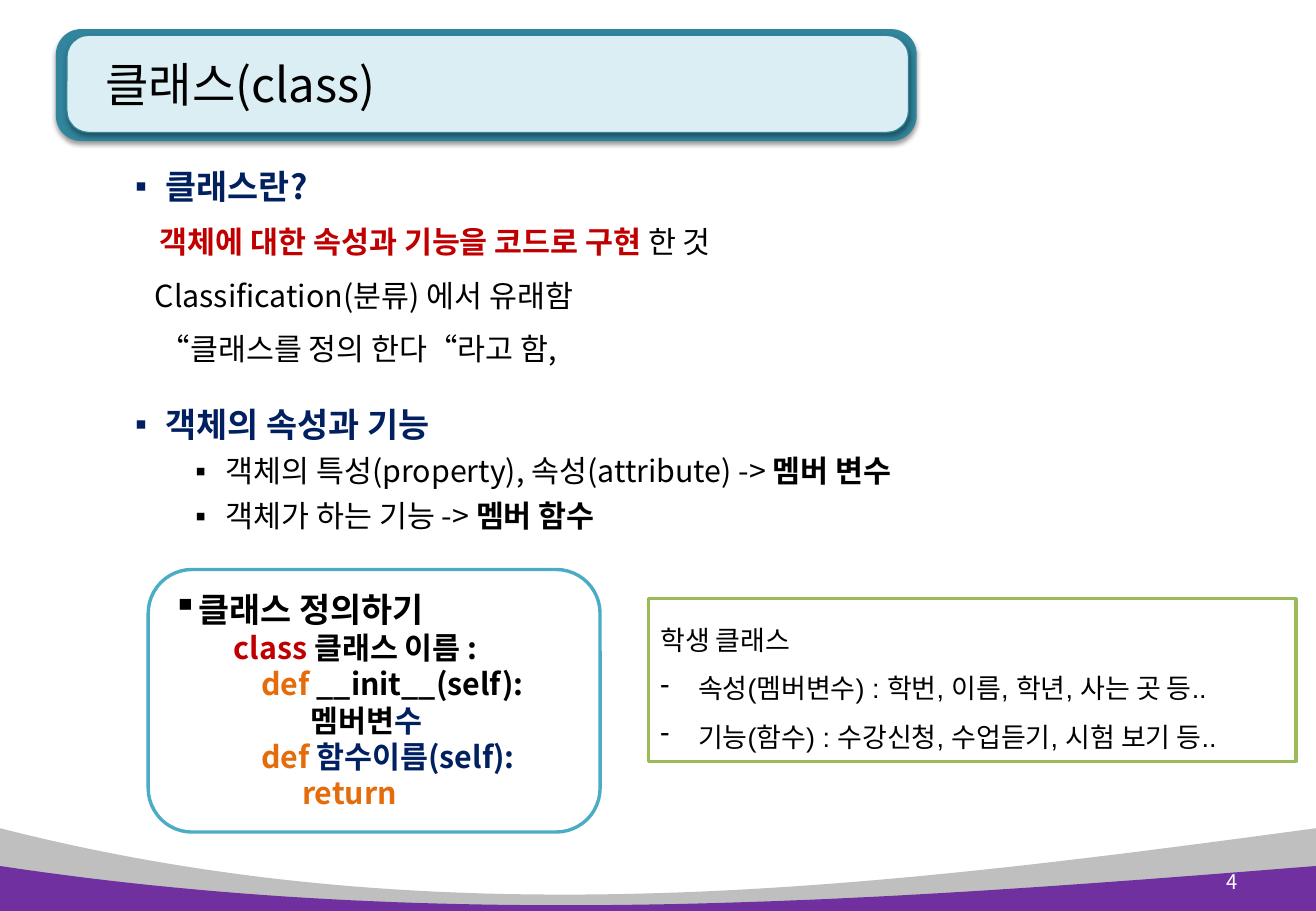
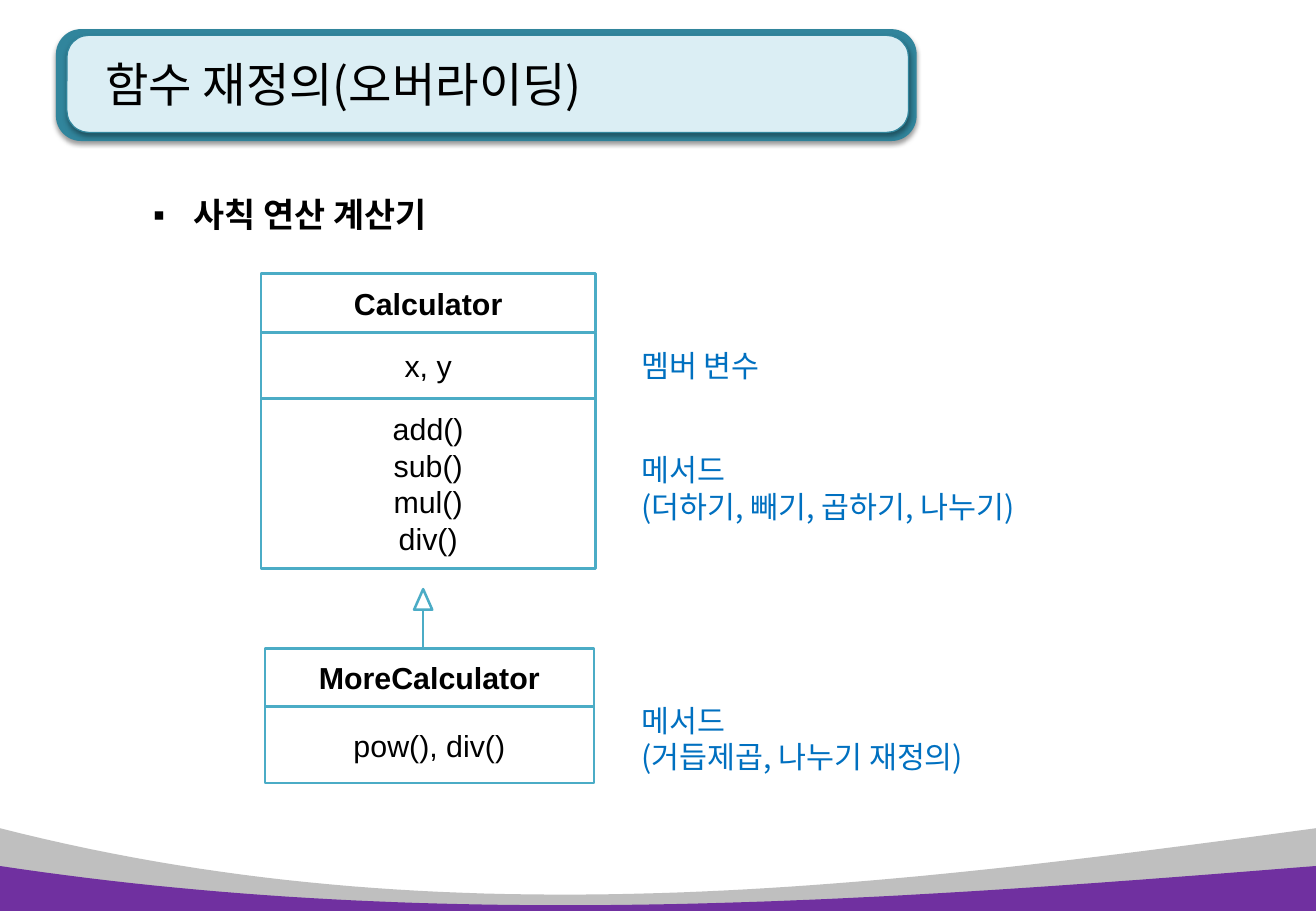
from dataclasses import dataclass

from lxml.etree import SubElement
from pptx import Presentation
from pptx.dml.color import RGBColor
from pptx.enum.shapes import MSO_CONNECTOR, MSO_SHAPE
from pptx.enum.text import MSO_ANCHOR, MSO_AUTO_SIZE, PP_ALIGN
from pptx.oxml.ns import qn
from pptx.util import Cm, Pt

BLACK = RGBColor(0x00, 0x00, 0x00)
WHITE = RGBColor(0xFF, 0xFF, 0xFF)
GRAY = RGBColor(0xBF, 0xBF, 0xBF)
PURPLE = RGBColor(0x70, 0x30, 0xA0)
TEAL = RGBColor(0x31, 0x85, 0x9C)
PALE = RGBColor(0xDB, 0xEE, 0xF4)
AQUA = RGBColor(0x4B, 0xAC, 0xC6)
GREEN = RGBColor(0x9B, 0xBB, 0x59)
NAVY = RGBColor(0x00, 0x20, 0x60)
RED = RGBColor(0xC0, 0x00, 0x00)
ORANGE = RGBColor(0xE4, 0x6C, 0x0A)
BLUE = RGBColor(0x00, 0x70, 0xC0)
KOREAN = "Noto Sans CJK KR"
LATIN = "Arial"
WIDTH, HEIGHT = 27.52, 19.05


@dataclass
class Line:
    """A paragraph: spans of (text, colour, bold) and its layout in centimetres and points."""
    spans: list
    size: float = 18
    font: str = KOREAN
    left: float = 0
    hang: float = 0
    bullet: str = ""
    spacing: float = 1
    before: float = 0
    level: int = 0
    align: PP_ALIGN = PP_ALIGN.LEFT


def write_line(para, line):
    """Fill one paragraph."""
    para.level = line.level
    para.alignment = line.align
    para.line_spacing = line.spacing
    para.space_before = Pt(line.before)
    properties = para._p.get_or_add_pPr()
    properties.set("marL", str(Cm(line.left)))
    properties.set("indent", str(-Cm(line.hang)))
    if line.bullet:
        SubElement(properties, qn("a:buChar")).set("char", line.bullet)
    else:
        SubElement(properties, qn("a:buNone"))
    for text, color, bold in line.spans:
        span = para.add_run()
        span.text = text
        span.font.size = Pt(line.size)
        span.font.bold = bold
        span.font.color.rgb = color
        span.font.name = line.font
        SubElement(span._r.get_or_add_rPr(), qn("a:ea")).set("typeface", KOREAN)


def write_lines(shape, lines, anchor=MSO_ANCHOR.TOP):
    """Fill a shape with paragraphs."""
    frame = shape.text_frame
    frame.word_wrap = True
    frame.auto_size = MSO_AUTO_SIZE.NONE
    frame.vertical_anchor = anchor
    for index, line in enumerate(lines):
        write_line(frame.add_paragraph() if index else frame.paragraphs[0], line)


def place(shape, left, top, width, height):
    """Move and size a placeholder."""
    shape.left, shape.top = Cm(left), Cm(top)
    shape.width, shape.height = Cm(width), Cm(height)


def add_box(page, kind, bounds, fill, line=None, weight=1.5):
    """Add a filled preset shape."""
    box = page.shapes.add_shape(kind, *map(Cm, bounds))
    box.shadow.inherit = False
    box.fill.solid()
    box.fill.fore_color.rgb = fill
    if line is None:
        box.line.fill.background()
    else:
        box.line.color.rgb = line
        box.line.width = Pt(weight)
    return box


def add_text(page, bounds, lines, anchor=MSO_ANCHOR.TOP):
    """Add a wrapping text box."""
    box = page.shapes.add_textbox(*map(Cm, bounds))
    write_lines(box, lines, anchor)


def add_banner(page, bounds, fill, line=None):
    """Add one rounded, shadowed layer of the title banner."""
    box = add_box(page, MSO_SHAPE.ROUNDED_RECTANGLE, bounds, fill, line, 0.75)
    box.adjustments[0] = 0.225
    effects = box._element.spPr.find(qn("a:effectLst"))
    shadow = SubElement(effects, qn("a:outerShdw"), blurRad=str(Pt(3.1)), dist=str(Pt(1.6)),
                        dir="5400000", rotWithShape="0")
    color = SubElement(shadow, qn("a:srgbClr"), val=str(BLACK))
    SubElement(color, qn("a:alpha"), val="38000")
    return box


def add_wave(page, heights, fill):
    """Add a bottom band whose upper edge is a cubic curve."""
    def blend(values, t):
        weights = ((1 - t) ** 3, 3 * t * (1 - t) ** 2, 3 * t * t * (1 - t), t ** 3)
        return Cm(sum(weight * value for weight, value in zip(weights, values)))

    columns = (0, 9.27, 18.29, WIDTH)
    steps = [step / 60 for step in range(61)]
    edge = [(blend(columns, t), blend(heights, t)) for t in steps]
    builder = page.shapes.build_freeform(*edge[0])
    builder.add_line_segments(edge[1:] + [(Cm(WIDTH), Cm(HEIGHT)), (0, Cm(HEIGHT))])
    wave = builder.convert_to_shape()
    wave.shadow.inherit = False
    wave.fill.solid()
    wave.fill.fore_color.rgb = fill
    wave.line.fill.background()
    return wave


def decorate_layout(page):
    """Draw the shared bands and banner and move them to the layout of the page."""
    parts = [
        add_wave(page, (17.32, 19.69, 18.57, 17.32), GRAY),
        add_wave(page, (18.11, 19.51, 18.85, 18.11), PURPLE),
        add_banner(page, (1.17, 0.61, 18, 2.34), TEAL),
        add_banner(page, (1.4, 0.74, 17.6, 2.03), PALE, TEAL),
    ]
    tree = page.slide_layout.shapes.element
    for index, part in enumerate(parts):
        tree.insert(2 + index, part.element)


def fill_page(page, title, bounds, lines):
    """Write the title and the list of a page."""
    heading, body = page.placeholders[0], page.placeholders[1]
    place(heading, 1.95, 0.56, 17, 2.39)
    write_lines(heading, [Line([(title, BLACK, False)], 28)], MSO_ANCHOR.MIDDLE)
    place(body, *bounds)
    write_lines(body, lines)


def heading_line(text, color, left=0.64):
    """Return a bold first-level list line."""
    return Line([(text, color, True)], 20, left=left, hang=left, bullet="▪",
                spacing=1.5, before=10)


def detail_line(text, strong):
    """Return a second-level list line that ends in bold."""
    return Line([(text, BLACK, False), (strong, BLACK, True)], left=1.9, hang=0.64,
                bullet="▪", before=5, level=1)


def code_line(left, *spans):
    """Return an indented bold line of code."""
    return Line([(text, color, True) for text, color in spans], left=left, level=1)


def add_class(page, left, top, width, sections):
    """Stack the sections of a class diagram, the first one in bold."""
    for index, (height, texts) in enumerate(sections):
        box = add_box(page, MSO_SHAPE.RECTANGLE, (left, top, width, height), WHITE, AQUA)
        lines = [Line([(text, BLACK, index == 0)], font=LATIN, align=PP_ALIGN.CENTER)
                 for text in texts]
        write_lines(box, lines, MSO_ANCHOR.MIDDLE)
        top += height


def add_inheritance(page, center, top, bottom):
    """Draw an upward arrow with a hollow head."""
    head = 0.43
    line = page.shapes.add_connector(MSO_CONNECTOR.STRAIGHT, Cm(center), Cm(top + head),
                                     Cm(center), Cm(bottom))
    line.line.color.rgb = AQUA
    line.line.width = Pt(1.5)
    SubElement(line._element.spPr, qn("a:effectLst"))
    add_box(page, MSO_SHAPE.ISOSCELES_TRIANGLE, (center - 0.19, top, 0.38, head), WHITE, AQUA)


def build_class_page(page):
    """Explain what a class is."""
    fill_page(page, "클래스(class)", (2.57, 2.92, 20, 8.4), [
        heading_line("클래스란?", NAVY),
        Line([("객체에 대한 속성과 기능을 코드로 구현 ", RED, True), ("한 것", BLACK, False)],
             left=0.52, before=10),
        Line([("Classification(분류) 에서 유래함", BLACK, False)], left=0.41, before=10),
        Line([("“클래스를 정의 한다“라고 함,", BLACK, False)], left=0.52, before=10),
        heading_line("객체의 속성과 기능", NAVY),
        detail_line("객체의 특성(property), 속성(attribute) -> ", "멤버 변수"),
        detail_line("객체가 하는 기능 -> ", "멤버 함수"),
    ])
    add_text(page, (24.59, 17.93, 1.55, 1.02),
             [Line([("4", WHITE, False)], 12, align=PP_ALIGN.RIGHT)], MSO_ANCHOR.MIDDLE)

    student = add_box(page, MSO_SHAPE.RECTANGLE, (13.56, 12.52, 13.54, 3.4), WHITE, GREEN, 2)
    items = ("속성(멤버변수) : 학번, 이름, 학년, 사는 곳 등..",
             "기능(함수) : 수강신청, 수업듣기, 시험 보기 등..")
    lines = [Line([("학생 클래스", BLACK, False)], 16, LATIN, spacing=1.5)]
    lines += [Line([(item, BLACK, False)], 16, LATIN, 0.79, 0.79, "-", 1.5) for item in items]
    write_lines(student, lines, MSO_ANCHOR.MIDDLE)

    code = add_box(page, MSO_SHAPE.ROUNDED_RECTANGLE, (3.1, 11.91, 9.45, 5.49), WHITE, AQUA, 2)
    write_lines(code, [
        Line([("클래스 정의하기", BLACK, True)], 20, left=0.43, hang=0.43, bullet="▪"),
        code_line(1.27, ("class ", RED), ("클래스 이름 :", BLACK)),
        code_line(1.85, ("def", ORANGE), (" __init__(self):", BLACK)),
        code_line(2.88, ("멤버변", BLACK), ("수", NAVY)),
        code_line(1.85, ("def ", ORANGE), ("함수이름(self):", NAVY)),
        code_line(2.7, ("return", ORANGE)),
    ])


def build_override_page(page):
    """Show a calculator class and the class that extends it."""
    fill_page(page, "함수 재정의(오버라이딩)", (2.95, 3.51, 21.8, 1.42),
              [heading_line("사칙 연산 계산기", BLACK, 0.84)])
    add_class(page, 5.46, 5.72, 6.99, [
        (1.24, ["Calculator"]),
        (1.37, ["x, y"]),
        (3.56, ["add()", "sub()", "mul()", "div()"]),
    ])
    add_inheritance(page, 8.85, 12.32, 13.56)
    add_class(page, 5.54, 13.56, 6.88, [(1.22, ["MoreCalculator"]), (1.6, ["pow(), div()"])])
    notes = [
        (7.14, 1.02, ["멤버 변수"]),
        (9.32, 1.8, ["메서드", "(더하기, 빼기, 곱하기, 나누기)"]),
        (14.55, 1.8, ["메서드", "(거듭제곱, 나누기 재정의)"]),
    ]
    for top, height, texts in notes:
        add_text(page, (13.16, top, 8.79, height),
                 [Line([(text, BLUE, False)]) for text in texts])


def main():
    """Build and save the deck."""
    deck = Presentation()
    deck.slide_width, deck.slide_height = Cm(WIDTH), Cm(HEIGHT)
    layout = deck.slide_layouts[1]
    pages = [deck.slides.add_slide(layout) for _ in range(2)]
    decorate_layout(pages[0])
    build_class_page(pages[0])
    build_override_page(pages[1])
    deck.save("out.pptx")


if __name__ == "__main__":
    main()
